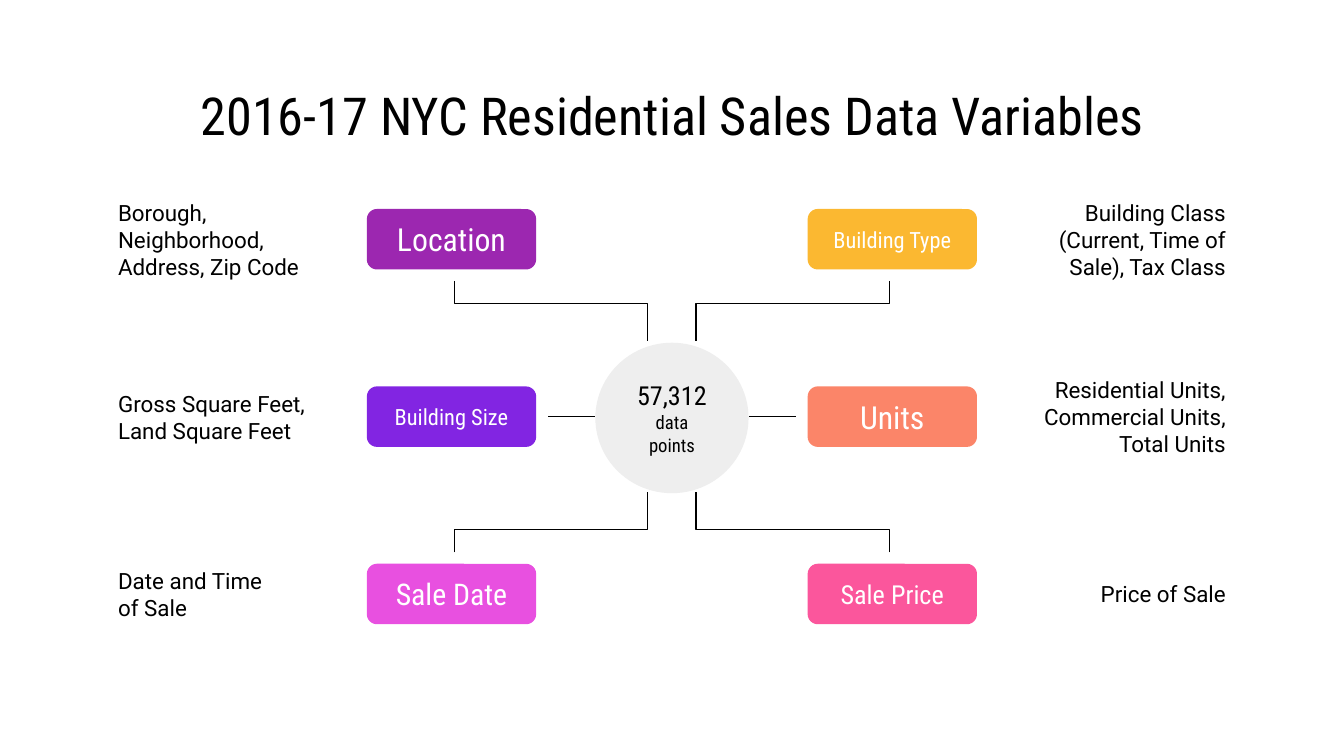
from lxml import etree
from pptx import Presentation
from pptx.dml.color import RGBColor
from pptx.enum import shapes, text
from pptx.oxml.ns import qn
from pptx.util import Inches, Pt

HEADING_FONT = "Roboto Condensed"
BODY_FONT = "Roboto"
CENTER_X, CENTER_Y = 5, 3.1
ROW_GAP = 1.32
LEFT, RIGHT = -1, 1

# side, row relative to the hub, label, label size, fill, description
VARIABLES = [
    (LEFT, -1, "Location", 17, "9C27B0", "Borough, Neighborhood, Address, Zip Code"),
    (LEFT, 0, "Building Size", 12, "8225E2", "Gross Square Feet, Land Square Feet"),
    (LEFT, 1, "Sale Date", 16, "E850E0", "Date and Time\vof Sale"),
    (RIGHT, -1, "Building Type", 12, "FBB831",
     "Building Class (Current, Time of Sale), Tax Class"),
    (RIGHT, 0, "Units", 17, "FB8569",
     "Residential Units, Commercial Units, Total Units"),
    (RIGHT, 1, "Sale Price", 14, "FB569C", "Price of Sale"),
]


def color(hex_value):
    return RGBColor.from_string(hex_value)


def centered(x, y, width, height):
    """Return left, top, width and height of a frame centred on a point."""
    return [Inches(value) for value in (x - width / 2, y - height / 2, width, height)]


def write(shape, lines, font, sizes, hex_value="000000", align=text.PP_ALIGN.CENTER):
    """Fill a shape with one paragraph per line, each with its own size."""
    frame = shape.text_frame
    frame.word_wrap = True
    frame.auto_size = text.MSO_AUTO_SIZE.NONE
    frame.vertical_anchor = text.MSO_ANCHOR.MIDDLE
    frame.margin_left = frame.margin_right = Inches(0.1)
    frame.margin_top = frame.margin_bottom = Inches(0.1)
    for index, (line, size) in enumerate(zip(lines, sizes)):
        para = frame.add_paragraph() if index else frame.paragraphs[0]
        para.text = line
        para.alignment = align
        for span in para.runs:
            span.font.name = font
            span.font.size = Pt(size)
            span.font.color.rgb = color(hex_value)


def add_title(page, title):
    box = page.shapes.title
    box.left, box.top, box.width, box.height = centered(CENTER_X, 0.85, 8.45, 0.53)
    write(box, [title], HEADING_FONT, [28])


def add_filled_shape(page, kind, frame, fill):
    shape = page.shapes.add_shape(kind, *frame)
    shape.shadow.inherit = False
    shape.fill.solid()
    shape.fill.fore_color.rgb = color(fill)
    shape.line.fill.background()
    return shape


def style_line(line):
    line.color.rgb = color("000000")
    line.width = Pt(0.75)


def add_straight_link(page, side):
    start, end = (Inches(CENTER_X + side * offset) for offset in (0.92, 0.57))
    link = page.shapes.add_connector(
        shapes.MSO_CONNECTOR.STRAIGHT, start, Inches(CENTER_Y), end, Inches(CENTER_Y))
    style_line(link.line)
    etree.SubElement(link._element.spPr, qn("a:effectLst"))


def add_bent_link(page, side, row):
    """Draw the stepped line from a corner label to the hub."""
    offsets = [(1.62, 1.01), (1.62, 0.84), (0.18, 0.84), (0.18, 0.56)]
    points = [(Inches(CENTER_X + side * x), Inches(CENTER_Y + row * y))
              for x, y in offsets]
    builder = page.shapes.build_freeform(*points[0])
    builder.add_line_segments(points[1:], close=False)
    link = builder.convert_to_shape()
    link.shadow.inherit = False
    link.fill.background()
    style_line(link.line)


def add_variable(page, side, row, label, size, fill, description):
    y = CENTER_Y + row * ROW_GAP
    label_box = add_filled_shape(
        page, shapes.MSO_SHAPE.ROUNDED_RECTANGLE,
        centered(CENTER_X + side * 1.64, y, 1.26, 0.45), fill)
    write(label_box, [label], HEADING_FONT, [size], "FFFFFF")

    if row:
        add_bent_link(page, side, row)
    else:
        add_straight_link(page, side)

    box = page.shapes.add_textbox(*centered(CENTER_X + side * 3.38, y, 1.68, 0.82))
    align = text.PP_ALIGN.LEFT if side == LEFT else text.PP_ALIGN.RIGHT
    write(box, [description], BODY_FONT, [12], align=align)


def add_hub(page):
    hub = add_filled_shape(page, shapes.MSO_SHAPE.OVAL,
                           centered(CENTER_X, CENTER_Y + 0.01, 1.14, 1.12), "EEEEEE")
    write(hub, ["57,312", "data points"], HEADING_FONT, [14, 10])


def main():
    deck = Presentation()
    deck.slide_width = Inches(10)
    deck.slide_height = deck.slide_width * 9 // 16
    page = deck.slides.add_slide(deck.slide_layouts.get_by_name("Title Only"))
    add_title(page, "2016-17 NYC Residential Sales Data Variables")
    for variable in VARIABLES:
        add_variable(page, *variable)
    add_hub(page)
    deck.save("out.pptx")


if __name__ == "__main__":
    main()
